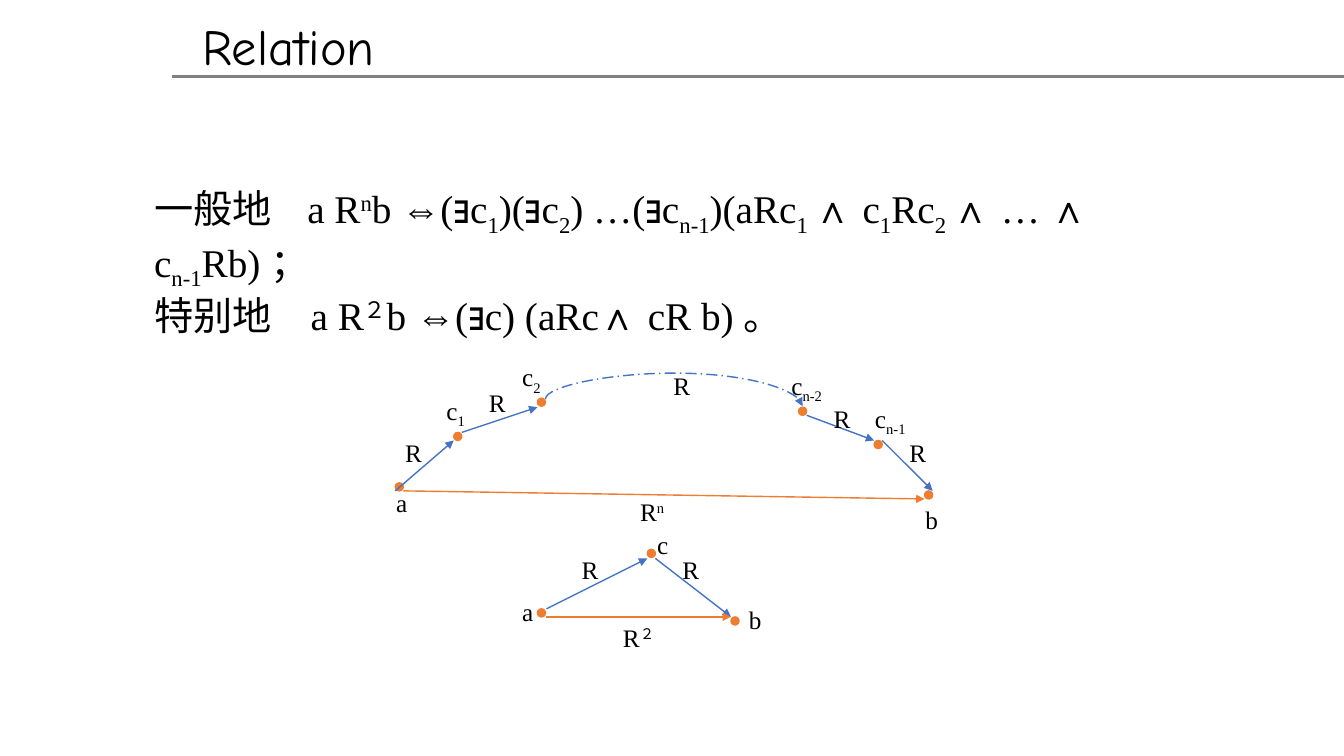
"""Build a slide on powers of a relation, with two path diagrams."""
from dataclasses import dataclass

from lxml.etree import SubElement as Sub
from pptx import Presentation
from pptx.dml.color import RGBColor
from pptx.enum.dml import MSO_LINE as Dash
from pptx.enum.shapes import MSO_CONNECTOR as Link, MSO_SHAPE as Shape
from pptx.enum.text import MSO_AUTO_SIZE as Auto
from pptx.oxml.ns import qn
from pptx.shapes.connector import Connector
from pptx.slide import Slide
from pptx.text.text import TextFrame
from pptx.util import Inches, Pt

BLUE = RGBColor(0x44, 0x72, 0xC4)
ORANGE = RGBColor(0xED, 0x7D, 0x31)
GRAY = RGBColor(0x80, 0x80, 0x80)
BLACK = RGBColor(0, 0, 0)
SERIF = "Times New Roman"
SHIFT = {"^": "30000", "_": "-25000"}
DOT = 0.08


@dataclass(frozen=True)
class Style:
    size: float
    font: str = SERIF


@dataclass(frozen=True)
class Label:
    text: str
    left: float
    top: float
    width: float = 0.42
    height: float = 0.4
    wrap: bool = True


@dataclass(frozen=True)
class Arrow:
    start: tuple[float, float]
    end: tuple[float, float]
    color: RGBColor = BLUE


@dataclass(frozen=True)
class Graph:
    dots: list[tuple[float, float]]
    arrows: list[Arrow]
    labels: list[Label]


TITLE = Style(36, "Comic Neue")
BODY = Style(28)
NOTE = Style(18)

RULES = Label(
    "一般地\ta R|^n|b ⇔(∃c|_1|)(∃c|_2|) …(∃c|_n-1|)(aRc|_1 |∧ c|_1|Rc|_2 "
    "|∧ … ∧ c|_n-1|Rb) ；\n"
    "特别地　a R|^２|b ⇔(∃c) (aRc∧ cR b) 。",
    1.43, 1.78, 10.78, 1.04)

CHAIN = Graph(
    [(3.92, 4.79), (4.5, 4.29), (5.33, 3.95),
     (7.92, 4.04), (8.67, 4.37), (9.17, 4.87)],
    [Arrow((4, 4.87), (9.17, 4.95), ORANGE),
     Arrow((3.92, 4.87), (4.5, 4.37)),
     Arrow((4.58, 4.29), (5.33, 4.04)),
     Arrow((8, 4.12), (8.67, 4.37)),
     Arrow((8.75, 4.37), (9.25, 4.87))],
    [Label("a", 3.83, 4.79),
     Label("c|_1", 4.33, 3.87),
     Label("c|_2", 5.08, 3.54, 0.5),
     Label("b", 9.08, 4.95),
     Label("c|_n-1", 8.58, 3.95, 0.67),
     Label("c|_n-2", 7.75, 3.62, 0.75),
     Label("R|^n", 6.25, 4.87, 0.67),
     Label("R", 3.92, 4.29),
     Label("R", 4.75, 3.79, 0.37, wrap=False),
     Label("R", 8.17, 3.95, 0.37, wrap=False),
     Label("R", 8.92, 4.29, 0.37, wrap=False),
     Label("R", 6.58, 3.62, 0.37, wrap=False)])

SQUARE = Graph(
    [(5.33, 6.04), (6.42, 5.45), (7.25, 6.12)],
    [Arrow((5.42, 6.04), (6.42, 5.54)),
     Arrow((6.5, 5.54), (7.25, 6.12)),
     Arrow((5.42, 6.12), (7.25, 6.12), ORANGE)],
    [Label("a", 5.08, 5.87, 0.33),
     Label("b", 7.33, 5.95, 0.25),
     Label("c", 6.42, 5.2, 0.33),
     Label("R|^２", 6.08, 6.12, 0.75),
     Label("R", 5.67, 5.45),
     Label("R", 6.67, 5.45)])


def write(slide: Slide, label: Label, style: Style) -> TextFrame:
    """Add a text box; a bar parts the runs, ^ raises and _ lowers one."""
    box = slide.shapes.add_textbox(
        Inches(label.left), Inches(label.top),
        Inches(label.width), Inches(label.height))
    frame = box.text_frame
    frame.word_wrap = label.wrap
    frame.auto_size = Auto.SHAPE_TO_FIT_TEXT
    for num, line in enumerate(label.text.split("\n")):
        para = frame.add_paragraph() if num else frame.paragraphs[0]
        for part in line.split("|"):
            run = para.add_run()
            run.text = part.lstrip("^_")
            run.font.size, run.font.name = Pt(style.size), style.font
            run.font.color.rgb = BLACK
            if part[0] in SHIFT:
                run.font._element.set("baseline", SHIFT[part[0]])
    return frame


def link(slide: Slide, arrow: Arrow, kind: Link = Link.STRAIGHT,
         width: float = 1, head: bool = True) -> Connector:
    """Add a connector, with an arrowhead at its end if wanted."""
    line = slide.shapes.add_connector(
        kind, *map(Inches, arrow.start + arrow.end))
    line.line.color.rgb = arrow.color
    line.line.width = Pt(width)
    if head:
        Sub(line.line._get_or_add_ln(), qn("a:tailEnd"), type="triangle")
    Sub(line.element.spPr, qn("a:effectLst"))
    return line


def arc(slide: Slide) -> None:
    """Add the dashed curve that stands for the steps left out."""
    curve = link(slide, Arrow((6.65, 5.27), (6.72, 2.72)), Link.CURVE)
    curve.line.dash_style = Dash.LONG_DASH_DOT
    props = curve.element.spPr
    props.find(qn("a:xfrm")).set("rot", "5400000")
    guides = props.find(qn("a:prstGeom")).find(qn("a:avLst"))
    Sub(guides, qn("a:gd"), name="adj1", fmla="val -368300")


def draw(slide: Slide, graph: Graph) -> None:
    """Draw the dots, arrows and labels of a graph."""
    for left, top in graph.dots:
        dot = slide.shapes.add_shape(
            Shape.OVAL, *map(Inches, (left, top, DOT, DOT)))
        dot.shadow.inherit = False
        dot.fill.solid()
        dot.fill.fore_color.rgb = dot.line.color.rgb = ORANGE
        dot.line.width = Pt(1)
    for arrow in graph.arrows:
        link(slide, arrow)
    for label in graph.labels:
        write(slide, label, NOTE)


def main() -> None:
    """Build and save the slide."""
    deck = Presentation()
    deck.slide_width, deck.slide_height = Inches(13.33), Inches(7.5)
    slide = deck.slides.add_slide(deck.slide_layouts[6])
    link(slide, Arrow((1.71, 0.76), (13.33, 0.76), GRAY), width=2, head=False)
    write(slide, Label("Relation", 1.91, 0.1, 6.3, 0.71), TITLE)
    rules = write(slide, RULES, BODY)
    tabs = Sub(rules.paragraphs[0]._p.get_or_add_pPr(), qn("a:tabLst"))
    Sub(tabs, qn("a:tab"), pos=str(Inches(1.52)), algn="l")
    draw(slide, CHAIN)
    arc(slide)
    draw(slide, SQUARE)
    deck.save("out.pptx")


if __name__ == "__main__":
    main()
